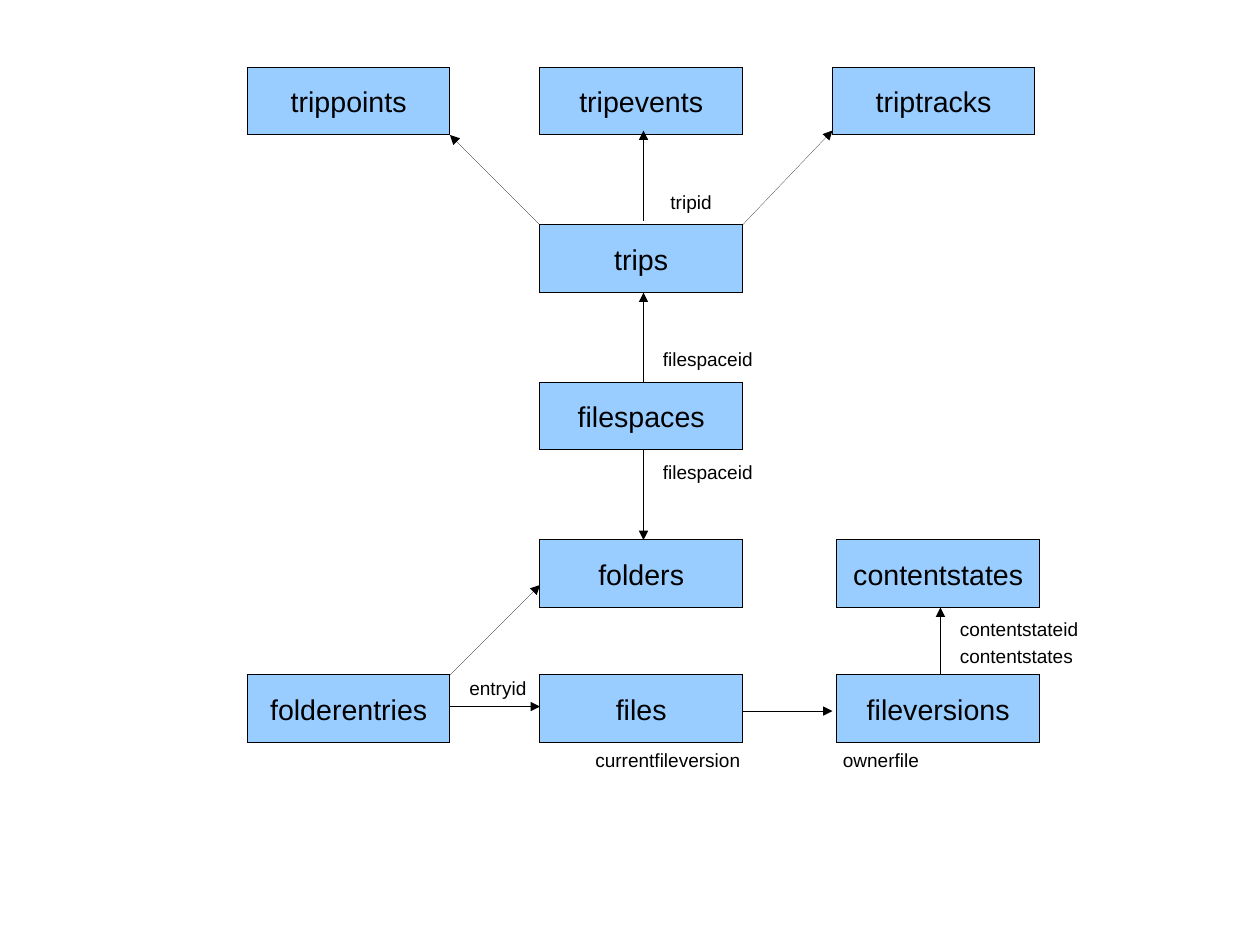
from dataclasses import dataclass

from lxml.etree import SubElement
from pptx import Presentation
from pptx.dml.color import RGBColor
from pptx.enum.shapes import MSO_CONNECTOR, MSO_SHAPE
from pptx.enum.text import MSO_ANCHOR, MSO_AUTO_SIZE, PP_ALIGN
from pptx.oxml.ns import qn
from pptx.shapes.autoshape import Shape
from pptx.shapes.connector import Connector
from pptx.slide import Slide
from pptx.text.text import TextFrame
from pptx.util import Cm, Length, Pt

BLACK = RGBColor(0x00, 0x00, 0x00)
LIGHT_BLUE = RGBColor(0x99, 0xCC, 0xFF)
FONT = "Arial"

# The slide is a grid of 56 columns by 42 rows, each 5 mm
COLUMNS, ROWS = 56, 42
CELL_CM = 0.5
BOX_COLUMNS, BOX_ROWS = 9, 3
LABEL_ROWS = 1.5
LEFT, MIDDLE, RIGHT, FAR_RIGHT = 11, 24, 37, 37.2
LEFT_EDGE, MIDDLE_EDGE = LEFT + BOX_COLUMNS, MIDDLE + BOX_COLUMNS
MIDDLE_AXIS, RIGHT_AXIS = 28.6, 41.8
DETAILS, TRIPS, FILESPACES, FOLDERS, FILES = 3, 10, 17, 24, 30


@dataclass(frozen=True)
class Entity:
    name: str
    column: float
    row: float


@dataclass(frozen=True)
class Arrow:
    start: tuple[float, float]
    end: tuple[float, float]


@dataclass(frozen=True)
class KeyLabel:
    text: str
    column: float
    row: float
    columns: float


ENTITIES = [
    Entity("trippoints", LEFT, DETAILS),
    Entity("tripevents", MIDDLE, DETAILS),
    Entity("triptracks", RIGHT, DETAILS),
    Entity("trips", MIDDLE, TRIPS),
    Entity("filespaces", MIDDLE, FILESPACES),
    Entity("folders", MIDDLE, FOLDERS),
    Entity("contentstates", FAR_RIGHT, FOLDERS),
    Entity("folderentries", LEFT, FILES),
    Entity("files", MIDDLE, FILES),
    Entity("fileversions", FAR_RIGHT, FILES),
]

ARROWS = [
    Arrow((MIDDLE, TRIPS), (LEFT_EDGE, DETAILS + BOX_ROWS)),
    Arrow((MIDDLE_AXIS, 9.8), (MIDDLE_AXIS, 5.8)),
    Arrow((MIDDLE_EDGE, TRIPS), (RIGHT, 5.8)),
    Arrow((MIDDLE_AXIS, FILESPACES), (MIDDLE_AXIS, TRIPS + BOX_ROWS)),
    Arrow((MIDDLE_AXIS, FILESPACES + BOX_ROWS), (MIDDLE_AXIS, FOLDERS)),
    Arrow((LEFT_EDGE, FILES), (MIDDLE, 26)),
    Arrow((LEFT_EDGE, 31.4), (MIDDLE, 31.4)),
    Arrow((MIDDLE_EDGE, 31.6), (RIGHT, 31.6)),
    Arrow((RIGHT_AXIS, FILES), (RIGHT_AXIS, FOLDERS + BOX_ROWS)),
]

KEY_LABELS = [
    KeyLabel("tripid", 29.3, 8.2, 3),
    KeyLabel("filespaceid", 28.96, 15.2, 5.1),
    KeyLabel("filespaceid", 28.96, 20.2, 5.1),
    KeyLabel("contentstateid", 42.16, 27.2, 6.4),
    KeyLabel("contentstates", 42.16, 28.4, 6.2),
    KeyLabel("entryid", 20.36, 29.8, 3.7),
    KeyLabel("currentfileversion", 25.96, 33, 7.6),
    KeyLabel("ownerfile", 36.96, 33, 4.5),
]


def grid(cells: float) -> Length:
    return Cm(cells * CELL_CM)


def write(frame: TextFrame, text: str, size: int, alignment: PP_ALIGN) -> None:
    frame.text = text
    paragraph = frame.paragraphs[0]
    paragraph.alignment = alignment
    paragraph.font.name = FONT
    paragraph.font.size = Pt(size)
    paragraph.font.color.rgb = BLACK


def set_hairline(shape: Shape | Connector) -> None:
    shape.line.color.rgb = BLACK
    # A zero width must be written out to override the theme's line
    shape._element.spPr.find(qn("a:ln")).set("w", "0")


def draw_entity(slide: Slide, entity: Entity) -> None:
    shape = slide.shapes.add_shape(
        MSO_SHAPE.RECTANGLE, grid(entity.column), grid(entity.row),
        grid(BOX_COLUMNS), grid(BOX_ROWS))
    shape.shadow.inherit = False
    shape.fill.solid()
    shape.fill.fore_color.rgb = LIGHT_BLUE
    set_hairline(shape)
    shape.text_frame.vertical_anchor = MSO_ANCHOR.MIDDLE
    write(shape.text_frame, entity.name, 18, PP_ALIGN.CENTER)


def draw_arrow(slide: Slide, arrow: Arrow) -> None:
    connector = slide.shapes.add_connector(
        MSO_CONNECTOR.STRAIGHT, *map(grid, arrow.start + arrow.end))
    set_hairline(connector)
    properties = connector._element.spPr
    SubElement(properties.find(qn("a:ln")), qn("a:tailEnd"), type="triangle")
    SubElement(properties, qn("a:effectLst"))


def draw_label(slide: Slide, label: KeyLabel) -> None:
    box = slide.shapes.add_textbox(
        grid(label.column), grid(label.row),
        grid(label.columns), grid(LABEL_ROWS))
    box.text_frame.word_wrap = False
    box.text_frame.auto_size = MSO_AUTO_SIZE.SHAPE_TO_FIT_TEXT
    write(box.text_frame, label.text, 12, PP_ALIGN.LEFT)


def main() -> None:
    presentation = Presentation()
    presentation.slide_width = grid(COLUMNS)
    presentation.slide_height = grid(ROWS)
    # Blank layout: the diagram has no title
    slide = presentation.slides.add_slide(presentation.slide_layouts[6])

    # Tables, then their relations and the keys that join them
    for entity in ENTITIES:
        draw_entity(slide, entity)
    for arrow in ARROWS:
        draw_arrow(slide, arrow)
    for label in KEY_LABELS:
        draw_label(slide, label)

    presentation.save("out.pptx")


if __name__ == "__main__":
    main()
